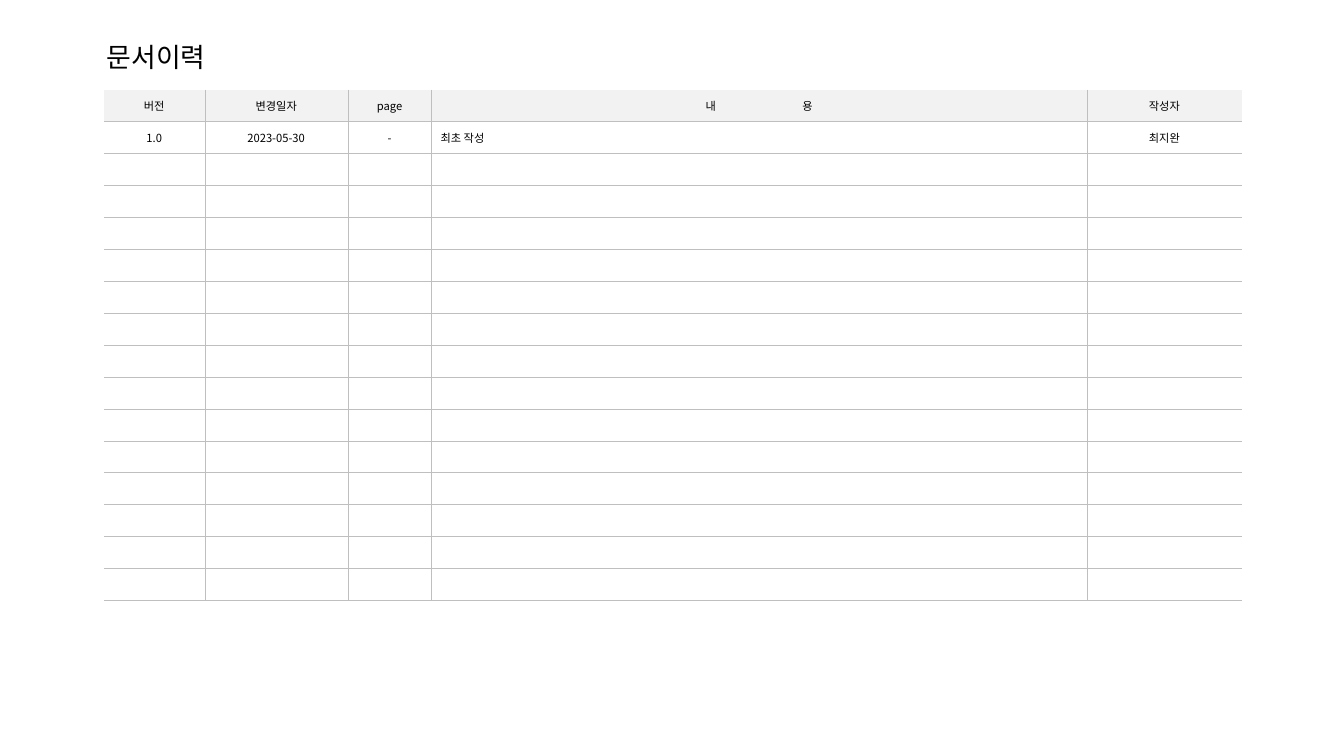
from dataclasses import dataclass

from lxml import etree
from pptx import Presentation
from pptx import util as u
from pptx.dml.color import RGBColor
from pptx.enum import text
from pptx.oxml.ns import qn


@dataclass(frozen=True)
class Theme:
    font: str = "Noto Sans CJK KR"
    ink: str = "000000"
    header: str = "F2F2F2"
    rule: str = "BFBFBF"
    title_size: float = 19.2
    body_size: float = 8
    rule_width: float = 0.25


@dataclass(frozen=True)
class Column:
    heading: str
    width: float
    entry: str
    align: text.PP_ALIGN = text.PP_ALIGN.CENTER
    gap: float = 0  # extra points after the space in the heading


THEME = Theme()
ROW_COUNT = 16
COLUMNS = [
    Column("버전", 1, "1.0"),
    Column("변경일자", 1.42, "2023-05-30"),
    Column("page", 0.83, "-"),
    Column("내 용", 6.5, "최초 작성", text.PP_ALIGN.LEFT, gap=60),
    Column("작성자", 1.54, "최지완"),
]


def set_all(target: object, values: dict) -> None:
    for name, value in values.items():
        setattr(target, name, value)


def add_span(para, words: str, size: float, spacing: float = 0) -> None:
    span = para.add_run()
    span.text = words
    set_all(span.font, {"name": THEME.font, "size": u.Pt(size)})
    span.font.color.rgb = RGBColor.from_string(THEME.ink)
    props = span.font._element
    etree.SubElement(props, qn("a:ea"), typeface=THEME.font)
    if spacing:
        props.set("spc", str(round(spacing * 100)))


def add_heading(para, column: Column) -> None:
    first, space, last = column.heading.partition(" ")
    add_span(para, first, THEME.body_size)
    if space:
        add_span(para, space, THEME.body_size, column.gap)
        add_span(para, last, THEME.body_size)


def draw_borders(cell, sides: dict[str, bool]) -> None:
    props = cell._tc.get_or_add_tcPr()
    for index, (side, shown) in enumerate(sides.items()):
        line = etree.Element(qn(f"a:ln{side}"), w=str(u.Pt(THEME.rule_width)))
        if shown:
            fill = etree.SubElement(line, qn("a:solidFill"))
            etree.SubElement(fill, qn("a:srgbClr"), val=THEME.rule)
        else:
            etree.SubElement(line, qn("a:noFill"))
        props.insert(index, line)


def add_title(page, words: str) -> None:
    box = page.shapes.add_textbox(u.Inches(0.96), u.Inches(0.35), u.Inches(1.45), u.Inches(0.42))
    set_all(box.text_frame, {"word_wrap": False, "auto_size": text.MSO_AUTO_SIZE.SHAPE_TO_FIT_TEXT})
    add_span(box.text_frame.paragraphs[0], words, THEME.title_size)


def fill_cell(cell, row: int, column: Column) -> None:
    set_all(cell, {
        "vertical_anchor": text.MSO_ANCHOR.MIDDLE,
        "margin_left": u.Inches(0.09), "margin_right": u.Inches(0.09),
        "margin_top": u.Inches(0.04), "margin_bottom": u.Inches(0.04),
    })
    para = cell.text_frame.paragraphs[0]
    if row == 0:
        cell.fill.solid()
        cell.fill.fore_color.rgb = RGBColor.from_string(THEME.header)
        para.alignment = text.PP_ALIGN.CENTER
        add_heading(para, column)
    else:
        cell.fill.background()
        para.alignment = column.align
        if row == 1:
            add_span(para, column.entry, THEME.body_size)
        else:
            # Small type keeps empty rows at their set height
            etree.SubElement(para._p, qn("a:endParaRPr"), sz=str(THEME.body_size * 100))


def add_history(page) -> None:
    width = sum(column.width for column in COLUMNS)
    frame = page.shapes.add_table(ROW_COUNT, len(COLUMNS), u.Inches(1.03), u.Inches(0.89),
                                  u.Inches(width), u.Inches(5.07))
    table = frame.table
    set_all(table, {"first_row": False, "horz_banding": False})
    last = len(COLUMNS) - 1
    for index, column in enumerate(COLUMNS):
        table.columns[index].width = u.Inches(column.width)
        for row in range(ROW_COUNT):
            cell = table.cell(row, index)
            fill_cell(cell, row, column)
            # The outer left, right and top edges stay open
            draw_borders(cell, {"L": index > 0, "R": index < last, "T": row > 0, "B": True})


def main() -> None:
    deck = Presentation()
    set_all(deck, {"slide_width": u.Inches(13.33), "slide_height": u.Inches(7.5)})
    page = deck.slides.add_slide(deck.slide_layouts[6])

    # Title
    add_title(page, "문서이력")

    # Revision table
    add_history(page)

    deck.save("out.pptx")


if __name__ == "__main__":
    main()
